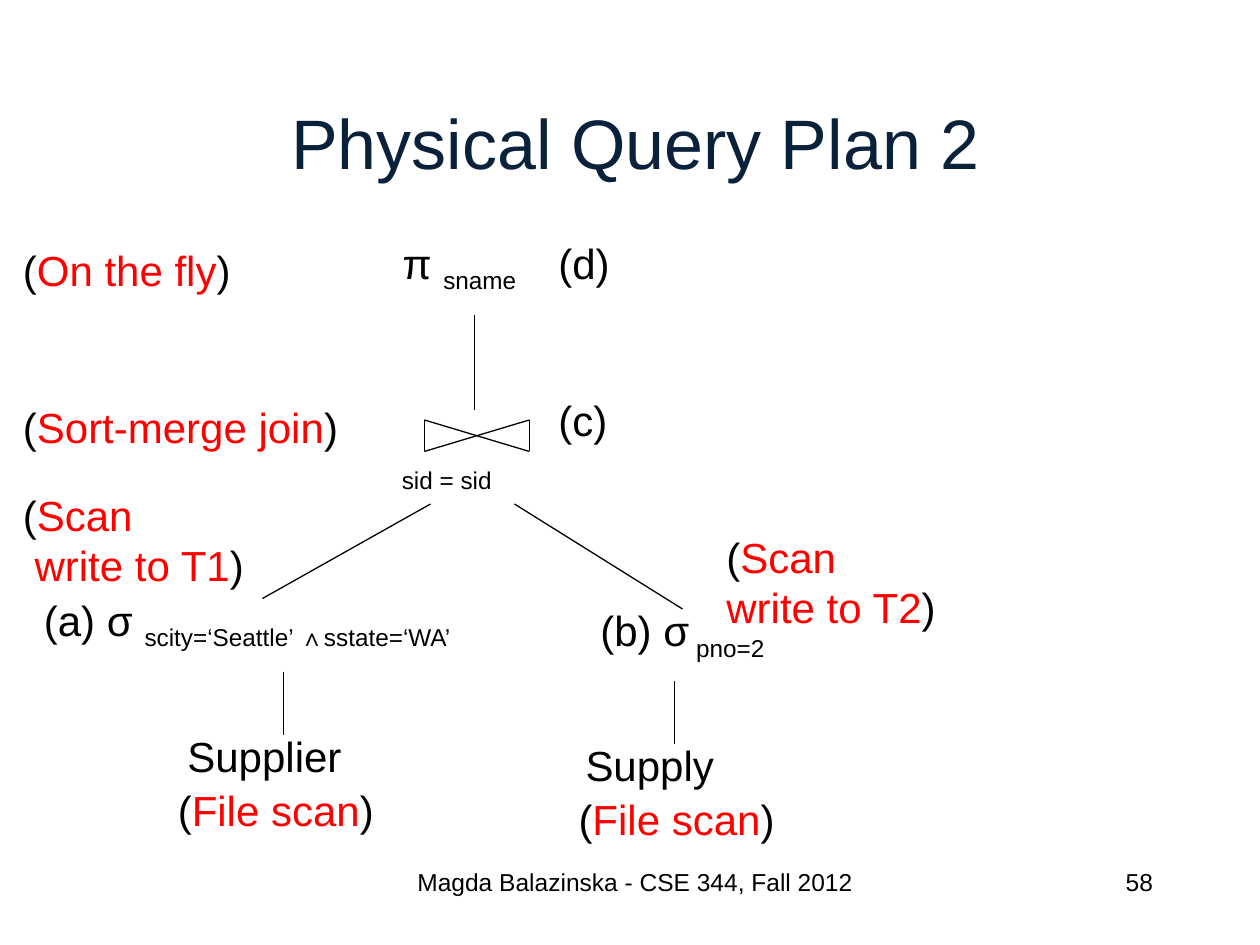
from itertools import pairwise
from lxml import etree
from pptx import Presentation
from pptx.dml.color import RGBColor
from pptx.enum.shapes import MSO_CONNECTOR as CONN
from pptx.enum.text import MSO_ANCHOR as ANCHOR, MSO_AUTO_SIZE as AUTO, PP_ALIGN as ALIGN
from pptx.oxml.ns import qn
from pptx.util import Pt

BLACK, RED, NAVY = "000000", "FF0000", "09213B"
TITLE = "Physical Query Plan 2"

OPERATORS = [
    (223, 132, 82, "π ", "sname"),
    (222.5, 246, 74, "", "sid = sid"),
    (18, 336, 290, "(a) σ ", "scity=‘Seattle’ ∧sstate=‘WA’"),
    (336, 342, 116, "(b) σ", " pno=2"),
    (312, 222, 45, "(c)", ""),
    (312, 132, 46, "(d)", ""),
    (100, 414, 105, "Supplier", ""),
    (327.5, 419, 90, "Supply", ""),
]
METHODS = [
    (6, 136, 135, ["On the fly"]),
    (6, 226, 198, ["Sort-merge join"]),
    (6, 276, 143, ["Scan", " write to T1"]),
    (408, 300, 137, ["Scan", "write to T2"]),
    (94.5, 445, 129, ["File scan"]),
    (323.5, 450, 129, ["File scan"]),
]
EDGES = [
    ((271, 180), (271, 234)),
    ((246, 288), (150, 342)),
    ((294, 288), (390, 348)),
    ((162, 384), (162, 420)),
    ((385.5, 389), (385.5, 425)),
]
JOIN_LEFT, JOIN_TOP, JOIN_RIGHT, JOIN_BOTTOM = 242.5, 240, 302.5, 258
FOOTERS = [
    (228, 492, 270, "Magda Balazinska - CSE 344, Fall 2012", ALIGN.CENTER),
    (516, 492, 150, "58", ALIGN.RIGHT),
]


def rgb(color):
    return RGBColor.from_string(color)


def add_run(p, text, size=24, color=BLACK, subscript=False):
    r = p.add_run()
    r.text = text
    r.font.name = "Arial"
    r.font.size = Pt(size)
    r.font.color.rgb = rgb(color)
    if subscript:
        r.font._element.set("baseline", "-25000")


def add_box(x, y, w, h=36, wrap=False):
    tf = slide.shapes.add_textbox(Pt(x), Pt(y), Pt(w), Pt(h)).text_frame
    tf.word_wrap = wrap
    tf.auto_size = AUTO.NONE if wrap else AUTO.SHAPE_TO_FIT_TEXT
    return tf


def add_line(shapes, start, end):
    line = shapes.add_connector(CONN.STRAIGHT, *map(Pt, start + end))
    line.line.color.rgb = rgb(BLACK)
    line.line.width = Pt(0.75)
    etree.SubElement(line._element.spPr, qn("a:effectLst"))


prs = Presentation()
prs.slide_width, prs.slide_height = Pt(720), Pt(540)
slide = prs.slides.add_slide(prs.slide_layouts[5])

title = slide.shapes.title
title.left, title.top, title.width, title.height = map(Pt, (24, 36, 678, 90))
title.text_frame.vertical_anchor = ANCHOR.MIDDLE
p = title.text_frame.paragraphs[0]
p.alignment = ALIGN.CENTER
add_run(p, TITLE, 40, NAVY)

for x, y, w, text, subscript in OPERATORS:
    p = add_box(x, y, w).paragraphs[0]
    if text:
        add_run(p, text)
    if subscript:
        add_run(p, subscript, subscript=True)

for x, y, w, lines in METHODS:
    tf = add_box(x, y, w, 36 + 29 * (len(lines) - 1))
    for i, text in enumerate(lines):
        p = tf.add_paragraph() if i else tf.paragraphs[0]
        if i == 0:
            add_run(p, "(")
        add_run(p, text, color=RED)
        if i == len(lines) - 1:
            add_run(p, ")")

for start, end in EDGES:
    add_line(slide.shapes, start, end)

join = slide.shapes.add_group_shape()
corners = [(JOIN_LEFT, JOIN_TOP), (JOIN_LEFT, JOIN_BOTTOM),
           (JOIN_RIGHT, JOIN_TOP), (JOIN_RIGHT, JOIN_BOTTOM)]
for start, end in pairwise(corners + corners[:1]):
    add_line(join.shapes, start, end)

for x, y, w, text, align in FOOTERS:
    p = add_box(x, y, w, wrap=True).paragraphs[0]
    p.alignment = align
    add_run(p, text, 14)

prs.save("out.pptx")
